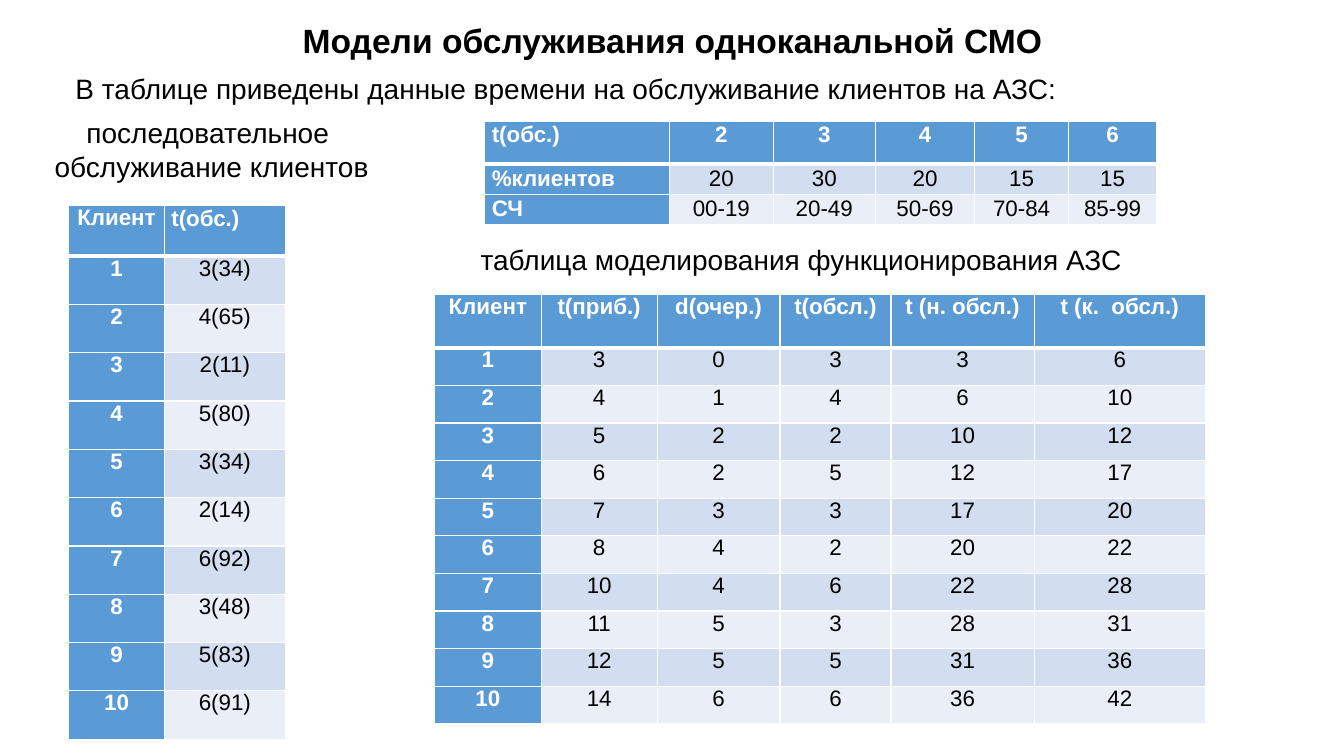
import dataclasses
import typing

import lxml.etree
import pptx
import pptx.dml.color
import pptx.enum.text
import pptx.oxml.ns
import pptx.util

Pt = pptx.util.Pt
RGB = pptx.dml.color.RGBColor
Align = pptx.enum.text.PP_ALIGN
qn = pptx.oxml.ns.qn


@dataclasses.dataclass(frozen=True)
class Theme:
    font: str = "Arial"
    ink: str = "000000"
    white: str = "FFFFFF"
    header: str = "5B9BD5"
    bands: tuple[str, str] = ("D2DEEF", "EAEFF7")
    title_size: float = 24
    body_size: float = 20
    cell_size: float = 16
    thin: float = 1
    thick: float = 3


@dataclasses.dataclass(frozen=True)
class Grid:
    left: float
    top: float
    widths: list[float]
    header_height: float
    row_height: float
    rows: list[list[str]]
    justified: tuple[tuple[int, int], ...] = ()
    spacing: float | None = None


@dataclasses.dataclass(frozen=True)
class Line:
    text: str
    style: dict[str, typing.Any]


@dataclasses.dataclass(frozen=True)
class Box:
    left: float
    top: float
    width: float
    height: float
    lines: list[Line]


THEME = Theme()

# Service time distribution
SERVICE_TIMES = Grid(
    346.3, 86.4, [132, 74, 73, 71, 67, 63], 31, 21.6,
    [["t(обс.)", "2", "3", "4", "5", "6"],
     ["%клиентов", "20", "30", "20", "15", "15"],
     ["СЧ", "00-19", "20-49", "50-69", "70-84", "85-99"]],
    justified=((0, 0), (1, 0), (2, 0)), spacing=1.07)

# Clients served in sequence
DRAWS = "3(34) 4(65) 2(11) 5(80) 3(34) 2(14) 6(92) 3(48) 5(83) 6(91)".split()
CLIENTS = Grid(
    49, 146.5, [68.4, 86.4], 36.5, 34.5,
    [["Клиент", "t(обс.)"]] + [[str(n), d] for n, d in enumerate(DRAWS, 1)],
    justified=((0, 1),))

# Simulation: arrival, queue, service, start, end
RUNS = [(3, 0, 3, 3, 6), (4, 1, 4, 6, 10), (5, 2, 2, 10, 12),
        (6, 2, 5, 12, 17), (7, 3, 3, 17, 20), (8, 4, 2, 20, 22),
        (10, 4, 6, 22, 28), (11, 5, 3, 28, 31), (12, 5, 5, 31, 36),
        (14, 6, 6, 36, 42)]
SIMULATION = Grid(
    310.3, 210.2, [76.3, 82.8, 87.8, 79.2, 102.3, 122.4], 38.2, 26.9,
    [["Клиент", "t(приб.)", "d(очер.)", "t(обсл.)", "t (н. обсл.)", "t (к.  обсл.)"]]
    + [[str(v) for v in (n, *run)] for n, run in enumerate(RUNS, 1)])

# Captions and title
BOXES = [
    Box(14.4, 79.2, 273.6, 55.4, [
        Line("последовательное ", {"align": Align.CENTER}),
        Line("обслуживание клиентов", {"align": Align.CENTER})]),
    Box(336.2, 169.9, 542.9, 31.7, [
        Line("таблица моделирования функционирования АЗС", {})]),
    Box(23.8, 10.8, 913, 68.4, [
        Line("Модели обслуживания одноканальной СМО",
             {"size": THEME.title_size, "bold": True,
              "align": Align.CENTER, "before": 10.5}),
        Line("В таблице приведены данные времени на обслуживание клиентов на АЗС:",
             {"align": Align.JUSTIFY, "before": 8.2, "after": 8, "indent": 23})]),
]


def write_text(p, text: str, *, size: float = THEME.body_size,
               color: str = THEME.ink, bold: bool = False,
               align=Align.LEFT, before: float = 0, after: float = 0,
               spacing: float | None = None, indent: float = 0) -> None:
    p.alignment = align
    p.space_before = Pt(before)
    p.space_after = Pt(after)
    p.line_spacing = spacing
    if indent:
        pPr = p._p.get_or_add_pPr()
        pPr.set("marL", "0")
        pPr.set("indent", str(Pt(indent)))
    r = p.add_run()
    r.text = text
    r.font.name = THEME.font
    r.font.size = Pt(size)
    r.font.bold = bold
    r.font.color.rgb = RGB.from_string(color)


def add_borders(cell, widths: dict[str, float]) -> None:
    tcPr = cell._tc.get_or_add_tcPr()
    for side, width in widths.items():
        ln = lxml.etree.SubElement(tcPr, qn(f"a:ln{side}"), w=str(Pt(width)))
        fill = lxml.etree.SubElement(ln, qn("a:solidFill"))
        lxml.etree.SubElement(fill, qn("a:srgbClr"), val=THEME.white)


def draw_grid(s, grid: Grid) -> None:
    n_rows, n_cols = len(grid.rows), len(grid.widths)
    height = grid.header_height + grid.row_height * (n_rows - 1)
    table = s.shapes.add_table(n_rows, n_cols, Pt(grid.left), Pt(grid.top),
                               Pt(sum(grid.widths)), Pt(height)).table
    table.horz_banding = False
    for column, width in zip(table.columns, grid.widths):
        column.width = Pt(width)
    for i, values in enumerate(grid.rows):
        table.rows[i].height = Pt(grid.row_height if i else grid.header_height)
        for j, value in enumerate(values):
            cell = table.cell(i, j)
            head = i == 0 or j == 0
            add_borders(cell, {"L": THEME.thin, "R": THEME.thin,
                               "T": THEME.thick if i == 1 else THEME.thin,
                               "B": THEME.thick if i == 0 else THEME.thin})
            cell.fill.solid()
            cell.fill.fore_color.rgb = RGB.from_string(
                THEME.header if head else THEME.bands[(i - 1) % 2])
            cell.margin_left = cell.margin_right = Pt(5)
            cell.margin_top = cell.margin_bottom = 0
            justified = (i, j) in grid.justified
            spaced = justified or grid.spacing is not None
            write_text(cell.text_frame.paragraphs[0], value,
                       size=THEME.cell_size, bold=head,
                       color=THEME.white if head else THEME.ink,
                       align=Align.JUSTIFY if justified else Align.CENTER,
                       before=8.2 if spaced else 0,
                       spacing=1.07 if spaced else None)


def draw_box(s, box: Box) -> None:
    sp = s.shapes.add_textbox(Pt(box.left), Pt(box.top), Pt(box.width), Pt(box.height))
    tf = sp.text_frame
    tf.word_wrap = True
    tf.auto_size = pptx.enum.text.MSO_AUTO_SIZE.SHAPE_TO_FIT_TEXT
    for k, line in enumerate(box.lines):
        p = tf.add_paragraph() if k else tf.paragraphs[0]
        write_text(p, line.text, **line.style)


def main() -> None:
    prs = pptx.Presentation()
    prs.slide_width, prs.slide_height = Pt(960), Pt(540)
    s = prs.slides.add_slide(prs.slide_layouts[6])
    for grid in (SERVICE_TIMES, CLIENTS, SIMULATION):
        draw_grid(s, grid)
    for box in BOXES:
        draw_box(s, box)
    prs.save("out.pptx")


if __name__ == "__main__":
    main()
